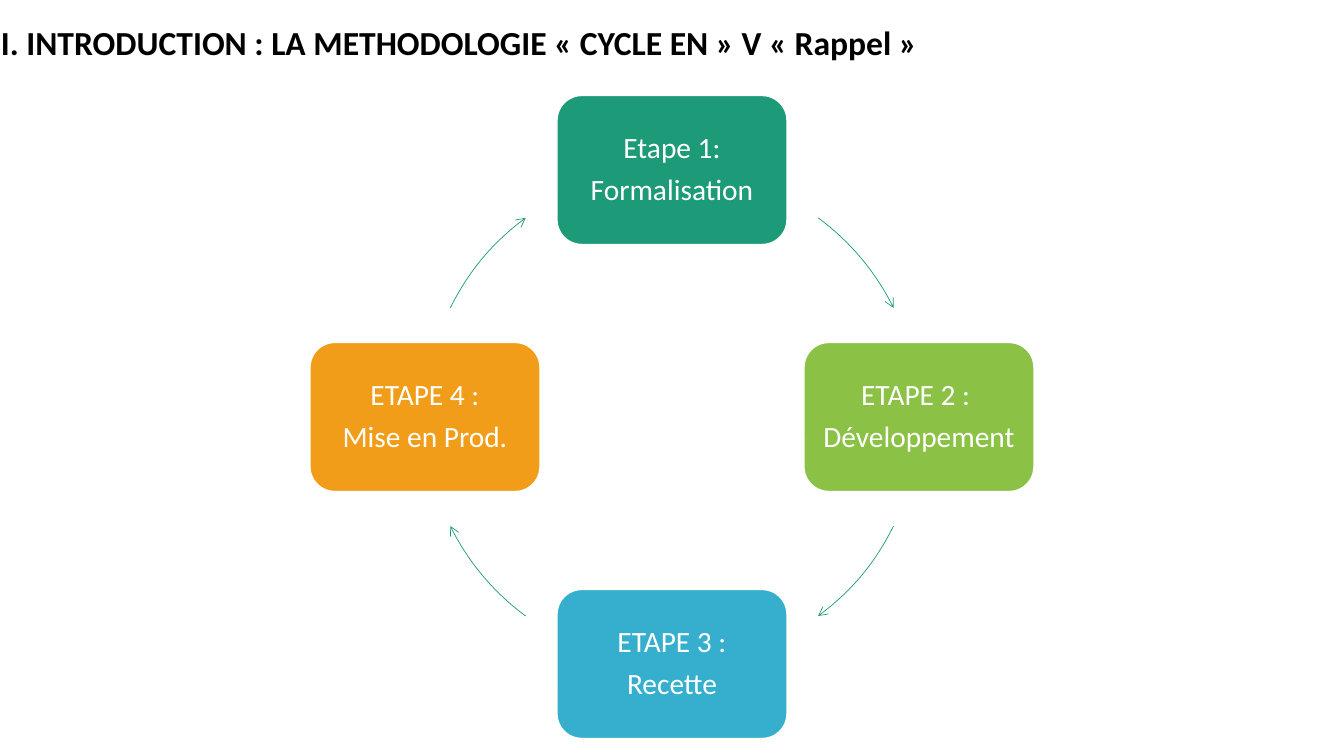
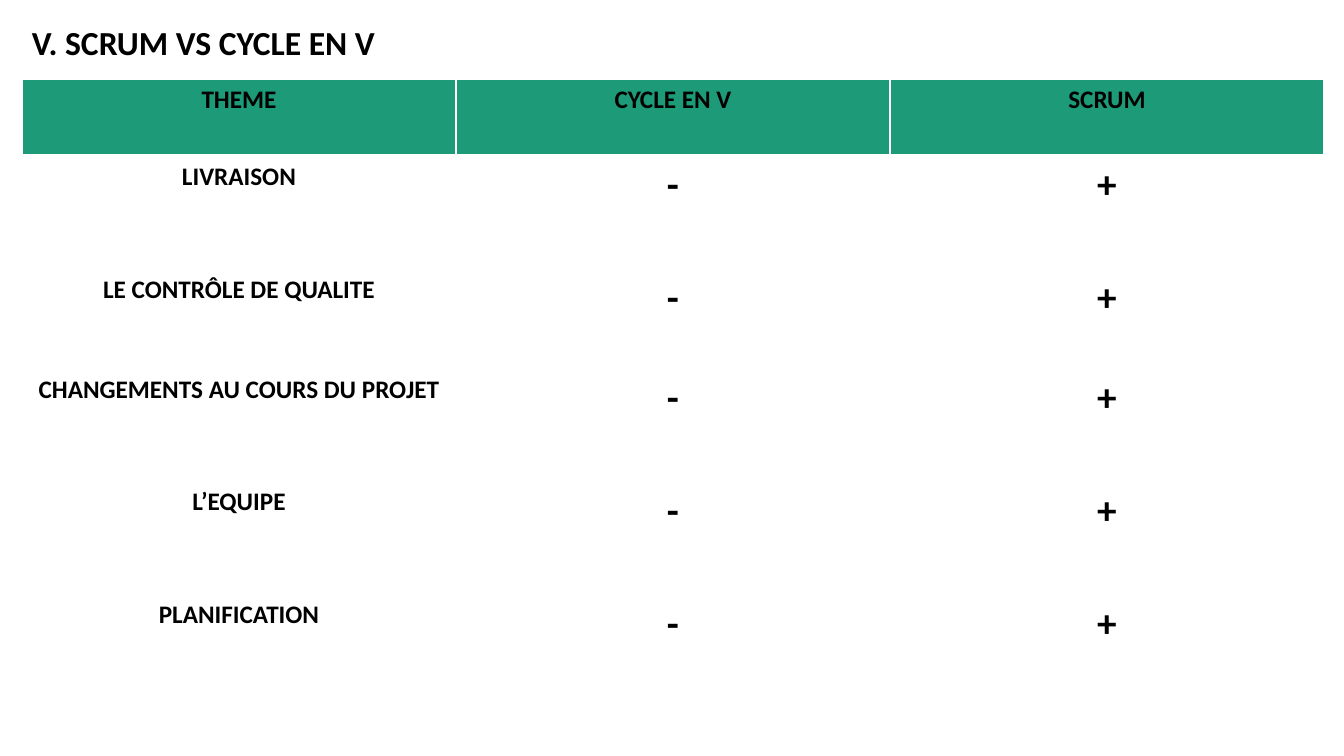
"""Build two slides: the V-cycle stages as a ring, and a Scrum versus V-cycle table."""
import math
import lxml.etree
import pptx
import pptx.dml.color
import pptx.enum.shapes
import pptx.enum.text
import pptx.oxml
import pptx.oxml.ns
import pptx.util

PX = 914400 / 100.8
RGB = pptx.dml.color.RGBColor.from_string
CENTER = pptx.enum.text.PP_ALIGN.CENTER
PRESET = pptx.enum.shapes.MSO_SHAPE
THEME = {
    "white": "FFFFFF", "black": "000000", "green": "1D9A78",
    "lime": "8BC145", "blue": "36AFCE", "orange": "F19D19",
    "title": {"name": "Calibri", "size": pptx.util.Pt(24), "bold": True},
    "stage": {"name": "Calibri", "size": pptx.util.Pt(21), "bold": False},
    "label": {"name": "Calibri", "size": pptx.util.Pt(18), "bold": True},
    "mark": {"name": "Calibri", "size": pptx.util.Pt(28), "bold": True},
}


def px(*lengths):
    """Turn pixel lengths into EMU."""
    return [pptx.util.Emu(round(length * PX)) for length in lengths]


def write(frame, lines, style, color, layout):
    """Fill a text frame, one paragraph a line."""
    for index, line in enumerate(lines):
        paragraph = frame.add_paragraph() if index else frame.paragraphs[0]
        for name, value in layout.items():
            setattr(paragraph, name, value)
        run = paragraph.add_run()
        run.text = line
        for name, value in THEME[style].items():
            setattr(run.font, name, value)
        run.font.color.rgb = RGB(THEME[color])


deck = pptx.Presentation()
deck.slide_width, deck.slide_height = px(1344, 756)

slides = []
for title, left, width in [
    ("I. INTRODUCTION : LA METHODOLOGIE «\u00a0CYCLE EN\u00a0» V «\u00a0Rappel\u00a0» ", -9, 1026),
    ("V. SCRUM VS CYCLE EN V", 22, 853),
]:
    slide = deck.slides.add_slide(deck.slide_layouts[6])
    heading = slide.shapes.add_textbox(*px(left, 17, width, 50)).text_frame
    heading.word_wrap = True
    write(heading, [title], "title", "black", {})
    slides.append(slide)
cycle, comparison = slides

CENTER_X, CENTER_Y, RADIUS = 672, 417, 247
STAGE_W, STAGE_H = 230, 149
ARROW_FROM, ARROW_TO = 26.2, 53.7
stages = [
    (["Etape 1:", "Formalisation"], "green"),
    (["ETAPE 2 : ", "Développement"], "lime"),
    (["ETAPE 3 :", "Recette"], "blue"),
    (["ETAPE 4 :", "Mise en Prod."], "orange"),
]
stage_layout = {"alignment": CENTER, "line_spacing": 0.9, "space_after": pptx.util.Pt(7.35)}
inset = px(8)[0]
stage_frame = {
    "word_wrap": True, "vertical_anchor": pptx.enum.text.MSO_ANCHOR.MIDDLE,
    "margin_left": inset, "margin_right": inset, "margin_top": inset, "margin_bottom": inset,
}
for index, (lines, color) in enumerate(stages):
    angle = 90 * index - 90
    x = CENTER_X + RADIUS * math.cos(math.radians(angle)) - STAGE_W / 2
    y = CENTER_Y + RADIUS * math.sin(math.radians(angle)) - STAGE_H / 2
    stage = cycle.shapes.add_shape(PRESET.ROUNDED_RECTANGLE, *px(x, y, STAGE_W, STAGE_H))
    stage.shadow.inherit = False
    stage.fill.solid()
    stage.fill.fore_color.rgb = RGB(THEME[color])
    stage.line.color.rgb = RGB(THEME["white"])
    stage.line.width = pptx.util.Pt(1)
    for name, value in stage_frame.items():
        setattr(stage.text_frame, name, value)
    write(stage.text_frame, lines, "stage", "white", stage_layout)

    start, end = angle + ARROW_FROM, angle + ARROW_TO
    if index % 2 == 0:
        start, end = angle + 90 - ARROW_TO, angle + 90 - ARROW_FROM
    arrow = cycle.shapes.add_shape(
        PRESET.ARC, *px(CENTER_X - RADIUS, CENTER_Y - RADIUS, 2 * RADIUS, 2 * RADIUS))
    arrow.shadow.inherit = False
    arrow.adjustments[0] = start % 360 * 0.6
    arrow.adjustments[1] = end % 360 * 0.6
    arrow.fill.background()
    arrow.line.color.rgb = RGB(THEME["green"])
    arrow.line.width = pptx.util.Pt(0.5)
    lxml.etree.SubElement(
        arrow.line._get_or_add_ln(), pptx.oxml.ns.qn("a:tailEnd"), type="arrow")

rows = [["THEME", "CYCLE EN V", "SCRUM"]] + [
    [theme, "-", "+"] for theme in (
        "LIVRAISON", "LE CONTRÔLE DE QUALITE", "CHANGEMENTS AU COURS DU PROJET",
        "L’EQUIPE", "PLANIFICATION")
]
heights = [77, 113, 100, 113, 113, 113]
COLUMN_W = 434
grid = comparison.shapes.add_table(
    len(rows), 3, *px(22, 79, 3 * COLUMN_W, sum(heights))).table
grid.horz_banding = False
for column in grid.columns:
    column.width = px(COLUMN_W)[0]
for r, (texts, height) in enumerate(zip(rows, heights)):
    grid.rows[r].height = px(height)[0]
    for c, text in enumerate(texts):
        cell = grid.cell(r, c)
        borders = {"lnL": 1, "lnR": 1, "lnT": 3 if r == 1 else 1, "lnB": 1 if r else 3}
        for edge, points in borders.items():
            cell._tc.get_or_add_tcPr().append(pptx.oxml.parse_xml(
                f'<a:{edge} {pptx.oxml.ns.nsdecls("a")} w="{pptx.util.Pt(points)}"><a:solidFill>'
                f'<a:srgbClr val="{THEME["white"]}"/></a:solidFill></a:{edge}>'))
        cell.fill.solid()
        cell.fill.fore_color.rgb = RGB(THEME["white" if r else "green"])
        write(cell.text_frame, [text], "mark" if r and c else "label", "black",
              {"alignment": CENTER})

deck.save("out.pptx")
